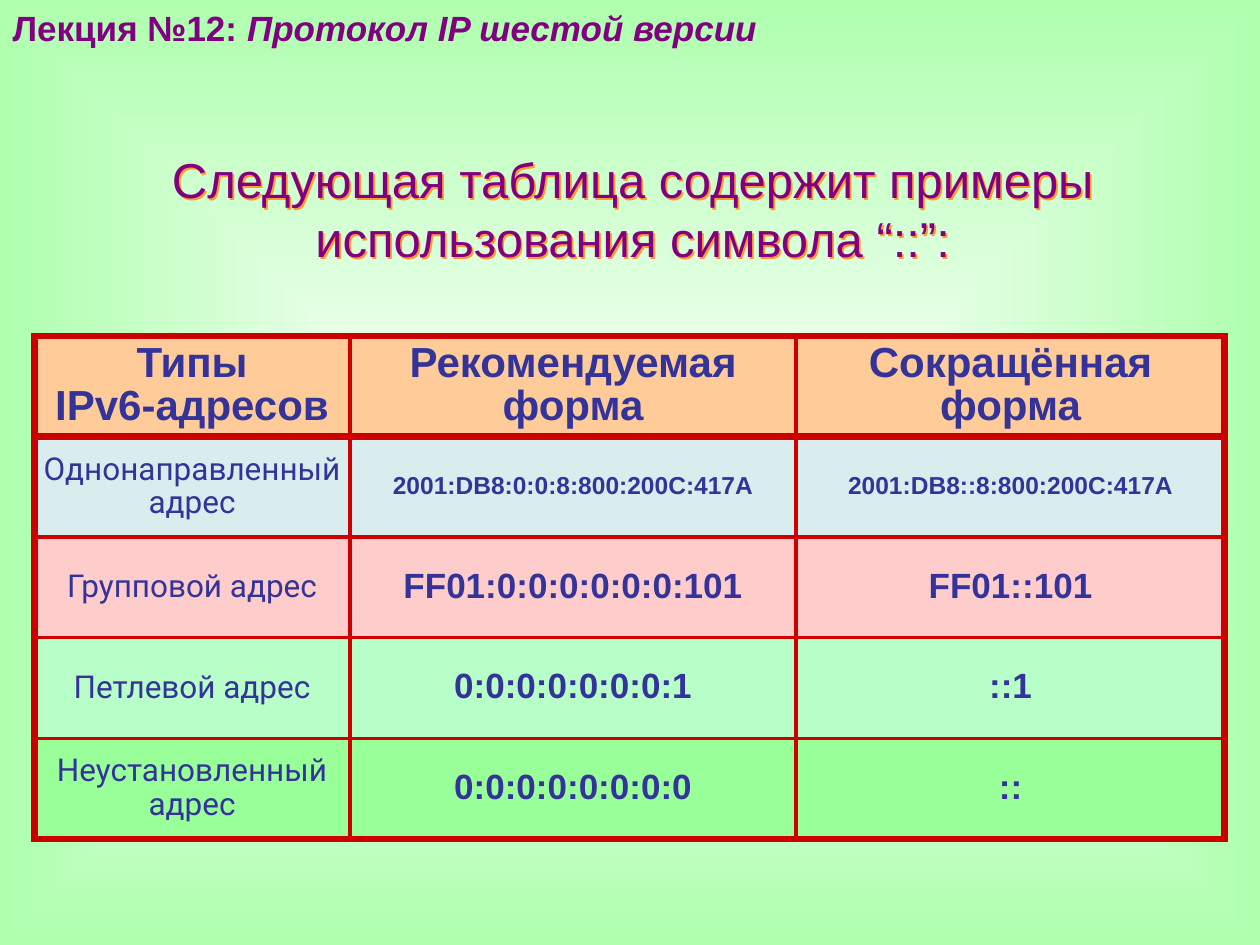
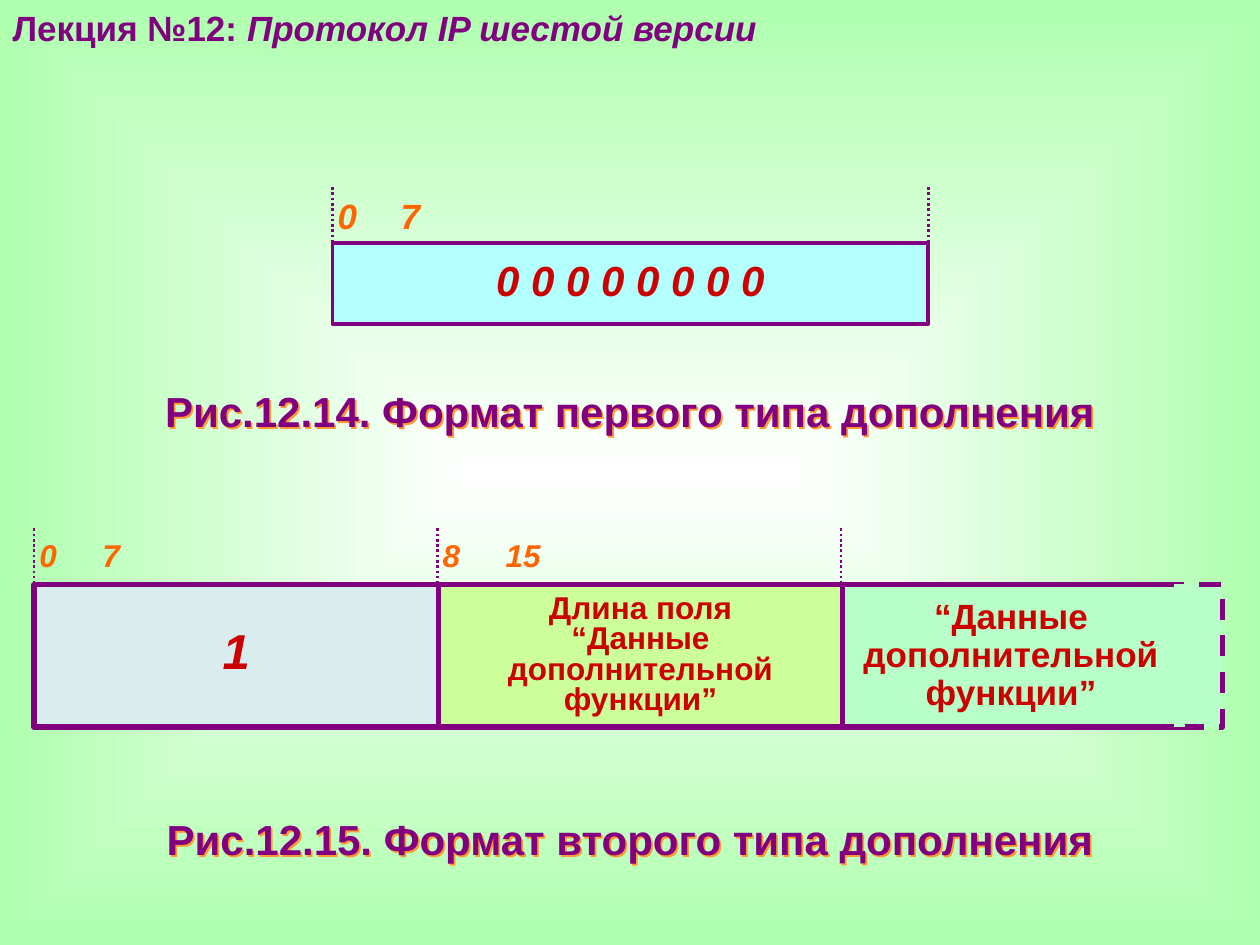
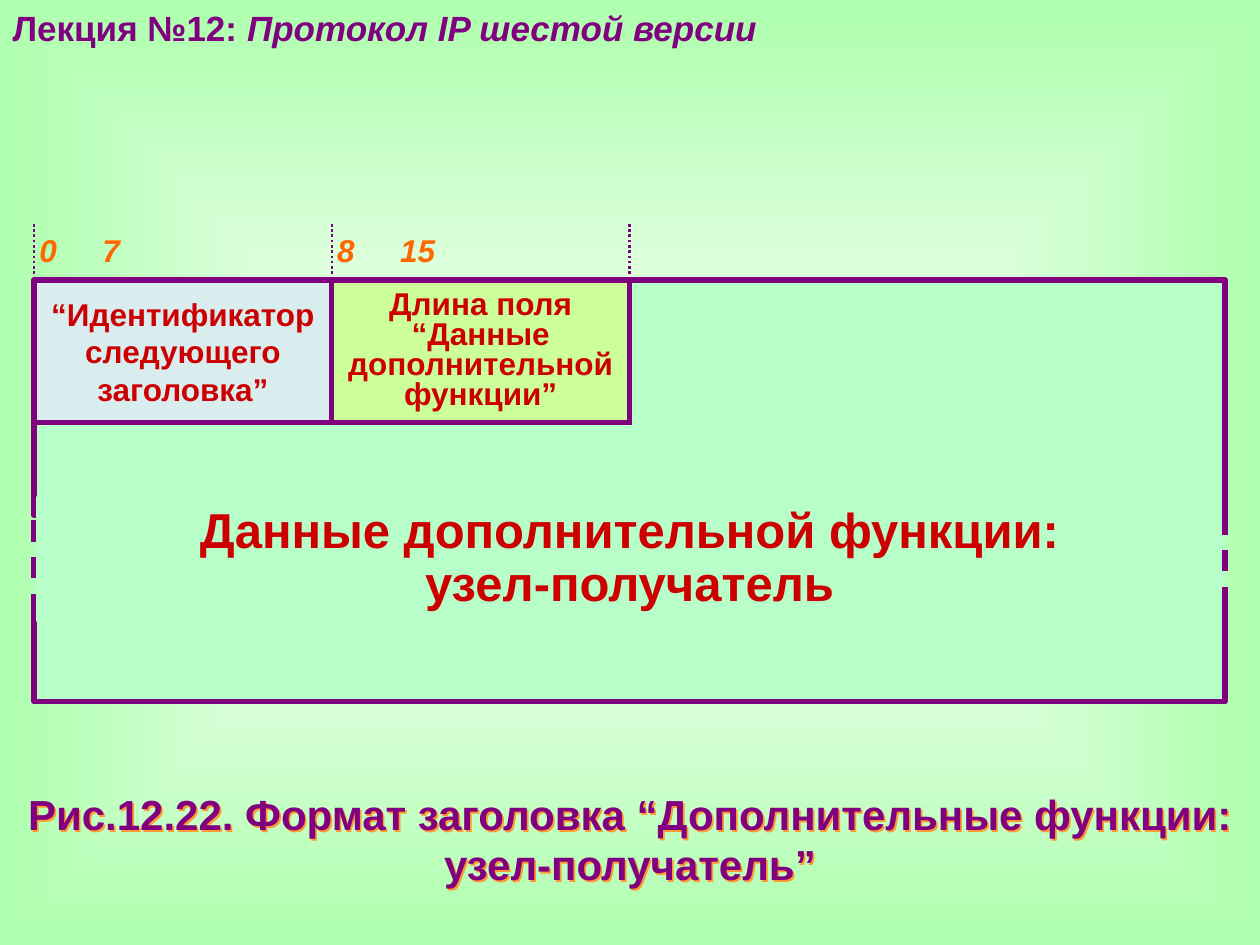
from pptx import Presentation
from pptx.dml.color import RGBColor
from pptx.enum import dml, shapes, text
from pptx.oxml import parse_xml
from pptx.oxml.ns import nsdecls, qn
from pptx.util import Pt

PURPLE, RED, ORANGE, NAVY = "800080", "CC0000", "FF6600", "333399"
CAPTION_SHADOW = "FF9933"
GREY, LIME, MINT, CYAN = "D9EDEF", "CCFF99", "B8FEC9", "B3FFFF"
MARGIN = 19.5
FULL_WIDTH = 680.5
TICK_LENGTH = 42.5
LABEL_PADDING = 3
LENGTH_FIELD = "Длина поля\n“Данные дополнительной функции”"


def rgb(value):
    return RGBColor.from_string(value)


def points(*lengths):
    return [Pt(length) for length in lengths]


def format_font(font, size, colour, bold=True, italic=False, name="Arial"):
    font.name = name
    font.size = Pt(size)
    font.bold = bold
    font.italic = italic
    font.color.rgb = rgb(colour)


def write(frame, content, size, colour, spacing=None, align=text.PP_ALIGN.CENTER, **style):
    frame.word_wrap = True
    frame.text = content
    for paragraph in frame.paragraphs:
        paragraph.alignment = align
        if spacing:
            paragraph.line_spacing = spacing
        format_font(paragraph.font, size, colour, **style)


def clear_insets(holder):
    holder.margin_left = holder.margin_top = holder.margin_right = holder.margin_bottom = 0
    holder.vertical_anchor = text.MSO_ANCHOR.MIDDLE


def set_effects(shape, content=""):
    effects = parse_xml(f"<a:effectLst {nsdecls('a')}>{content}</a:effectLst>")
    shape.element.find(qn("p:spPr")).append(effects)


def prepare_theme(presentation):
    master = presentation.slide_master
    fill = master.background.fill
    fill.gradient()
    for stop, position, colour in zip(fill.gradient_stops, (0, 1), ("FFFFFF", "AFFFAF")):
        stop.position = position
        stop.color.rgb = rgb(colour)
    gradient = master.element.find(".//" + qn("a:gradFill"))
    gradient.remove(gradient.find(qn("a:lin")))
    gradient.append(parse_xml(
        f'<a:path {nsdecls("a")} path="shape">'
        '<a:fillToRect l="50000" t="50000" r="50000" b="50000"/></a:path>'))
    layout = presentation.slide_layouts[5]
    title = layout.placeholders[0]
    title.left, title.top, title.width, title.height = points(0, 0, 459, 31)
    return layout


def add_lecture_slide(presentation, layout):
    slide = presentation.slides.add_slide(layout)
    frame = slide.shapes.title.text_frame
    frame.auto_size = text.MSO_AUTO_SIZE.NONE
    frame.word_wrap = True
    paragraph = frame.paragraphs[0]
    paragraph.alignment = text.PP_ALIGN.LEFT
    format_font(paragraph.font, 20, PURPLE, italic=None)
    paragraph.add_run().text = "Лекция №12: "
    topic = paragraph.add_run()
    topic.text = "Протокол IP шестой версии"
    topic.font.italic = True
    return slide


def add_caption(slide, content, box, size=24, bold=True):
    caption = slide.shapes.add_textbox(*points(*box))
    write(caption.text_frame, content, size, PURPLE, bold=bold)
    set_effects(caption, '<a:outerShdw dist="18000" dir="2700000" algn="ctr">'
                         f'<a:srgbClr val="{CAPTION_SHADOW}"/></a:outerShdw>')


def add_line(slide, start, end, colour, width, dash=None):
    line = slide.shapes.add_connector(shapes.MSO_CONNECTOR.STRAIGHT, *points(*start, *end))
    line.line.color.rgb = rgb(colour)
    line.line.width = Pt(width)
    if dash:
        line.line.dash_style = dash
    set_effects(line)


def add_field(slide, box, fill, content="", size=18, spacing=None, italic=False,
              border=PURPLE, border_width=3, dash=None):
    field = slide.shapes.add_shape(shapes.MSO_SHAPE.RECTANGLE, *points(*box))
    field.shadow.inherit = False
    field.fill.solid()
    field.fill.fore_color.rgb = rgb(fill)
    field.line.color.rgb = rgb(border)
    field.line.width = Pt(border_width)
    if dash:
        field.line.dash_style = dash
    if content:
        clear_insets(field.text_frame)
        write(field.text_frame, content, size, RED, spacing, italic=italic)


def add_bit_ruler(slide, left, top, width, bit_ranges, size=18, height=30):
    for index in range(len(bit_ranges) + 1):
        tick = left + index * width
        add_line(slide, (tick, top), (tick, top + TICK_LENGTH), PURPLE, 1.5,
                 dml.MSO_LINE.ROUND_DOT)
    for index, (first, last) in enumerate(bit_ranges):
        label = slide.shapes.add_textbox(*points(left + index * width, top, width, height))
        frame = label.text_frame
        clear_insets(frame)
        frame.margin_left = Pt(LABEL_PADDING)
        properties = frame.paragraphs[0]._p.get_or_add_pPr()
        stop = Pt(width - 2 * LABEL_PADDING)
        properties.append(parse_xml(
            f'<a:tabLst {nsdecls("a")}><a:tab pos="{stop}" algn="r"/></a:tabLst>'))
        write(frame, f"{first}\t{last}", size, ORANGE, align=text.PP_ALIGN.LEFT, italic=True)


def set_borders(cell, row, column, row_count, column_count):
    thick = {"L": column == 0, "R": column == column_count - 1,
             "T": row in (0, 1), "B": row in (0, row_count - 1)}
    properties = cell._tc.get_or_add_tcPr()
    for side, is_thick in thick.items():
        width = Pt(4.5 if is_thick else 2.25)
        properties.append(parse_xml(
            f'<a:ln{side} {nsdecls("a")} w="{width}"><a:solidFill>'
            f'<a:srgbClr val="{RED}"/></a:solidFill></a:ln{side}>'))


def add_address_table(slide, left, top, column_widths, row_height):
    rows = [
        ("FFCC99", 24, ("Типы\nIPv6-адресов", "Рекомендуемая форма", "Сокращённая форма")),
        (GREY, 14, ("Однонаправленный адрес", "2001:DB8:0:0:8:800:200C:417A",
                    "2001:DB8::8:800:200C:417A")),
        ("FFCCCC", 20, ("Групповой адрес", "FF01:0:0:0:0:0:0:101", "FF01::101")),
        (MINT, 20, ("Петлевой адрес", "0:0:0:0:0:0:0:1", "::1")),
        ("99FF99", 20, ("Неустановленный адрес", "0:0:0:0:0:0:0:0", "::")),
    ]
    frame = slide.shapes.add_table(len(rows), len(column_widths), *points(
        left, top, sum(column_widths), row_height * len(rows)))
    table = frame.table
    table.horz_banding = False
    for column, width in zip(table.columns, column_widths):
        column.width = Pt(width)
    for row_index, (fill, size, contents) in enumerate(rows):
        table.rows[row_index].height = Pt(row_height)
        for column_index, content in enumerate(contents):
            cell = table.cell(row_index, column_index)
            clear_insets(cell)
            set_borders(cell, row_index, column_index, len(rows), len(column_widths))
            cell.fill.solid()
            cell.fill.fore_color.rgb = rgb(fill)
            if row_index and not column_index:
                write(cell.text_frame, content, 18, NAVY, 0.9, bold=False, name="Roboto")
            else:
                write(cell.text_frame, content, size, NAVY, 0.9)


def draw_first_padding(slide, left, top, width, height):
    add_bit_ruler(slide, left, top - 32, width, [(0, 7)], size=20, height=32)
    add_field(slide, (left, top, width, height), CYAN, "0 0 0 0 0 0 0 0", 24, 0.85,
              italic=True, border_width=2.25)


def draw_second_padding(slide, left, top, width, height):
    field_width = 231
    data_left = left + 2 * field_width
    tail_width = 24.5
    tail_left = left + width - tail_width
    add_field(slide, (left, top, field_width, height), GREY, "1", 28, 0.8, italic=True)
    add_field(slide, (left + field_width, top, field_width, height), LIME, LENGTH_FIELD,
              spacing=0.8)
    add_field(slide, (data_left, top, tail_left - data_left, height), MINT,
              "“Данные дополнительной функции”", 20, 0.9)
    add_field(slide, (tail_left, top, tail_width, height), MINT, dash=dml.MSO_LINE.DASH)
    add_line(slide, (tail_left, top), (tail_left, top + height), MINT, 6)
    add_bit_ruler(slide, left, top - 32, field_width - 0.5, [(0, 7), (8, 15)])


def draw_destination_header(slide, left, top, width, height):
    field_width = width / 4
    field_height = 81.5
    strip_height = (height - field_height) / 3
    strips_top = top + field_height
    add_field(slide, (left, top, field_width, field_height), GREY,
              "“Идентификатор\nследующего заголовка”")
    add_field(slide, (left + field_width, top, field_width, field_height), LIME, LENGTH_FIELD,
              spacing=0.8)
    add_field(slide, (left + width / 2, top, width / 2, field_height), MINT)
    add_bit_ruler(slide, left, top - 32, field_width, [(0, 7), (8, 15)])
    for index, dash in ((1, dml.MSO_LINE.DASH), (2, None), (0, None)):
        add_field(slide, (left, strips_top + index * strip_height, width, strip_height), MINT,
                  dash=dash)
    add_field(slide, (left + width / 2 + 3.5, strips_top - 7, width / 2 - 7, 14), MINT,
              border=MINT, border_width=4)
    add_field(slide, (left + 3.5, strips_top + strip_height - 10.5, width - 7, 70.5), MINT,
              "Данные дополнительной функции:\nузел-получатель", 28, 0.9,
              border=MINT, border_width=4.25)


def main():
    presentation = Presentation()
    presentation.slide_width, presentation.slide_height = points(720, 540)
    layout = prepare_theme(presentation)

    slide = add_lecture_slide(presentation, layout)
    add_caption(slide, "Следующая таблица содержит примеры использования символа “::”:",
                (MARGIN, 82, 684, 74), size=28, bold=False)
    add_address_table(slide, MARGIN, 192, (180.5, 255, 245), 57.5)

    slide = add_lecture_slide(presentation, layout)
    add_caption(slide, "Рис.12.14. Формат первого типа дополнения", (0, 217, 720, 36))
    draw_first_padding(slide, 190, 139, 340.5, 46)
    add_caption(slide, "Рис.12.15. Формат второго типа дополнения", (0, 461.5, 720, 36))
    draw_second_padding(slide, MARGIN, 334, 679, 81.5)

    slide = add_lecture_slide(presentation, layout)
    draw_destination_header(slide, MARGIN, 160, FULL_WIDTH, 241)
    add_caption(slide, "Рис.12.22. Формат заголовка “Дополнительные функции: узел-получатель”",
                (0, 447, 720, 65))

    presentation.save("out.pptx")


if __name__ == "__main__":
    main()
